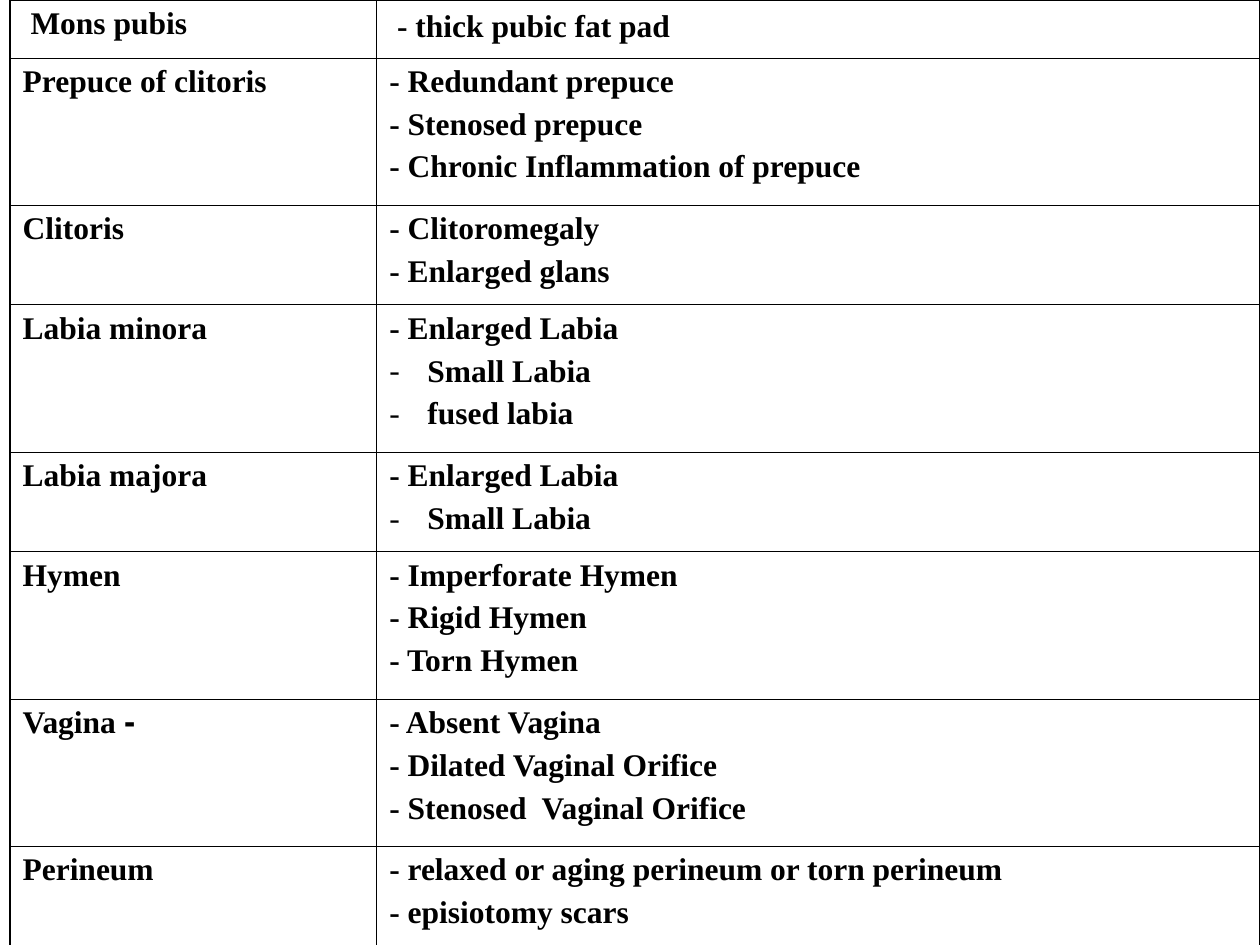
from dataclasses import dataclass

from lxml import etree
from pptx import Presentation
from pptx.dml.color import RGBColor
from pptx.enum.text import PP_ALIGN
from pptx.oxml.ns import qn
from pptx.util import Emu, Inches, Pt

LEFT = PP_ALIGN.LEFT
BLANK_LAYOUT = 6


@dataclass(frozen=True)
class Theme:
    font: str = "Times New Roman"
    ink: str = "000000"
    text_size: float = 18
    spacer_size: float = 20
    space_before: int = 25  # percent of the line
    bullet_indent: float = 0.24
    outer_line: float = 1.08
    inner_line: float = 0.45


THEME = Theme()
SLIDE_SIZE = (10, 7.5)
TABLE_LEFT = 0.08
COLUMN_WIDTHS = (2.91, 7.01)
ROW_HEIGHTS = {1: 0.46, 2: 0.79, 3: 1.17}  # by number of lines

# A finding that starts with BULLET gets a real bullet instead of a typed dash
BULLET = "•"
CONDITIONS = [
    (" Mons pubis", [" - thick pubic fat pad"]),
    ("Prepuce of clitoris", ["- Redundant prepuce", "- Stenosed prepuce",
                             "- Chronic Inflammation of prepuce"]),
    ("Clitoris", ["- Clitoromegaly", "- Enlarged glans"]),
    ("Labia minora", ["- Enlarged Labia", "• Small Labia", "• fused labia"]),
    ("Labia majora", ["- Enlarged Labia", "• Small Labia"]),
    ("Hymen", ["- Imperforate Hymen", "- Rigid Hymen", "- Torn Hymen"]),
    ("- Vagina", ["- Absent Vagina", "- Dilated Vaginal Orifice",
                  "- Stenosed  Vaginal Orifice"]),
    ("Perineum", ["- relaxed or aging perineum or torn perineum",
                  "- episiotomy scars"]),
]


def add_child(parent, tag, **attributes):
    return etree.SubElement(parent, qn(tag), attributes)


def format_run(run, size=THEME.text_size, bold=True):
    run.font.name = THEME.font
    run.font.size = Pt(size)
    run.font.bold = bold
    run.font.color.rgb = RGBColor.from_string(THEME.ink)


def add_dash_bullet(properties):
    indent = Inches(THEME.bullet_indent)
    properties.set("marL", str(indent))
    properties.set("indent", str(-indent))
    colour = add_child(properties, "a:buClr")
    add_child(colour, "a:srgbClr", val=THEME.ink)
    add_child(properties, "a:buFont", typeface=THEME.font)
    add_child(properties, "a:buChar", char="-")


def write_paragraph(paragraph, text, right_to_left=False):
    paragraph.text = text.removeprefix(BULLET)
    paragraph.alignment = LEFT
    for run in paragraph.runs:
        format_run(run)
    properties = paragraph._p.get_or_add_pPr()
    spacing = add_child(properties, "a:spcBef")
    add_child(spacing, "a:spcPct", val=str(THEME.space_before * 1000))
    if right_to_left:
        properties.set("rtl", "1")
    if text.startswith(BULLET):
        add_dash_bullet(properties)


def write_cell(cell, lines, right_to_left=False):
    frame = cell.text_frame
    for number, line in enumerate(lines):
        paragraph = frame.add_paragraph() if number else frame.paragraphs[0]
        write_paragraph(paragraph, line, right_to_left)


def style_cell(cell, outer_edges):
    cell.margin_left = cell.margin_right = Inches(0.1)
    cell.margin_top = cell.margin_bottom = Inches(0.05)
    properties = cell._tc.get_or_add_tcPr()
    for edge in "LRTB":
        width = THEME.outer_line if edge in outer_edges else THEME.inner_line
        border = add_child(properties, f"a:ln{edge}", w=str(Pt(width)))
        fill = add_child(border, "a:solidFill")
        add_child(fill, "a:srgbClr", val=THEME.ink)
    cell.fill.background()


def add_conditions_table(slide):
    heights = [Inches(ROW_HEIGHTS[len(findings)]) for _, findings in CONDITIONS]
    widths = [Inches(width) for width in COLUMN_WIDTHS]
    table = slide.shapes.add_table(
        len(heights), len(widths), Inches(TABLE_LEFT), 0,
        Emu(sum(widths)), Emu(sum(heights))).table
    table.first_row = table.horz_banding = False
    for column, width in zip(table.columns, widths):
        column.width = width

    last = len(CONDITIONS) - 1
    for index, (organ, findings) in enumerate(CONDITIONS):
        table.rows[index].height = heights[index]
        organ_cell, findings_cell = table.cell(index, 0), table.cell(index, 1)
        write_cell(organ_cell, [organ], right_to_left=index > 0)
        write_cell(findings_cell, findings)
        outer = ("T" if index == 0 else "") + ("B" if index == last else "")
        style_cell(organ_cell, outer + "L")
        style_cell(findings_cell, outer + "R")

    # The first finding ends in a larger space that lowers its line
    spacer = table.cell(0, 1).text_frame.paragraphs[0].add_run()
    spacer.text = " "
    format_run(spacer, THEME.spacer_size, bold=False)


def main():
    presentation = Presentation()
    presentation.slide_width, presentation.slide_height = map(Inches, SLIDE_SIZE)
    slide = presentation.slides.add_slide(presentation.slide_layouts[BLANK_LAYOUT])
    add_conditions_table(slide)
    presentation.save("out.pptx")


if __name__ == "__main__":
    main()
